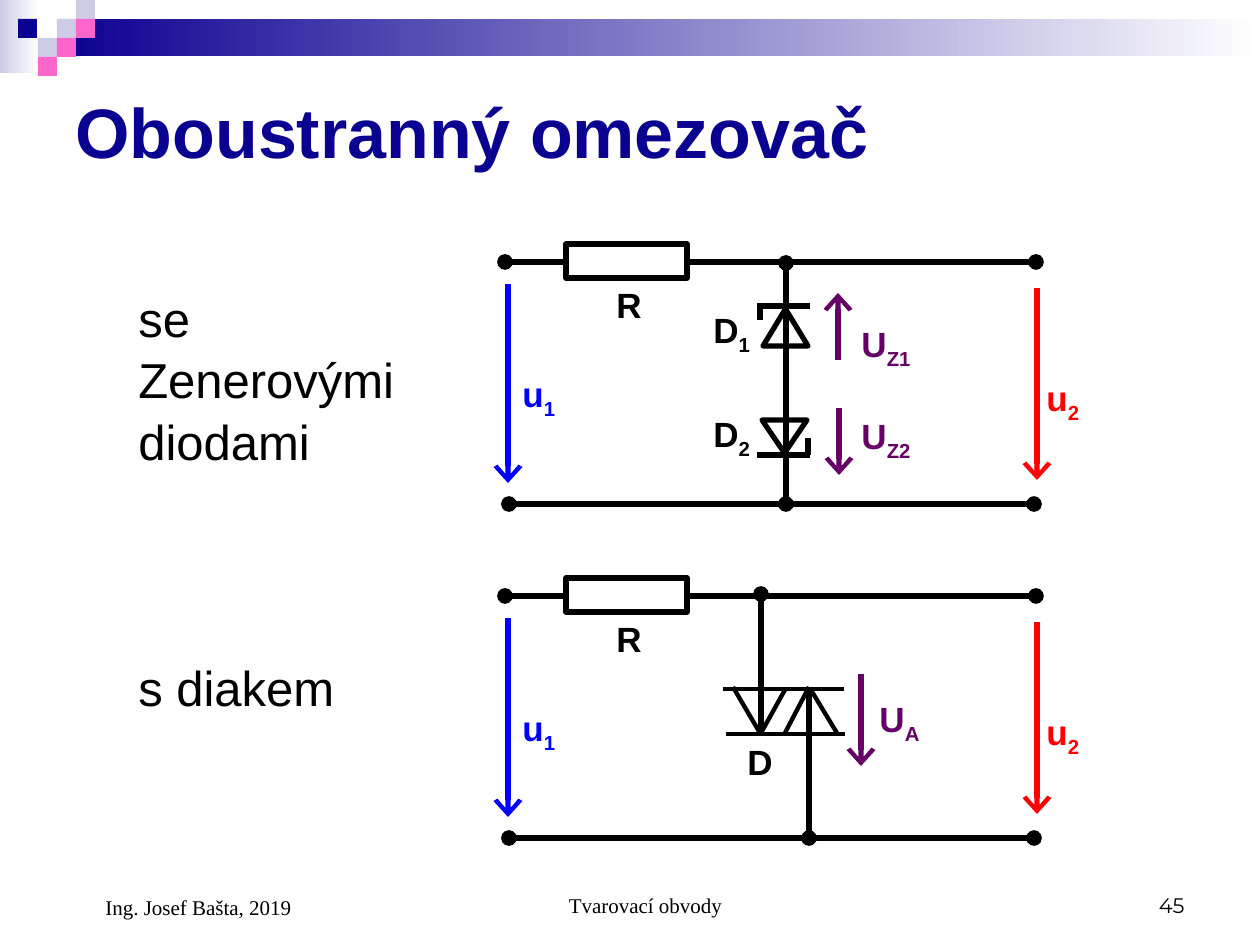
from pptx import Presentation
from pptx.dml.color import RGBColor
from pptx.enum.shapes import MSO_CONNECTOR as Link, MSO_SHAPE as Shape
from pptx.enum.text import MSO_ANCHOR as Anchor, PP_ALIGN as Align
from pptx.oxml.ns import qn
from pptx.util import Emu, Pt
from lxml.etree import SubElement

BLACK, NAVY, LAVENDER, PINK = "000000", "0B0191", "CCCCE6", "FF66CC"
BLUE, RED, PURPLE, WHITE = "0000FF", "FF0000", "660066", "FFFFFF"
SECOND_CIRCUIT = 334


def px(length):
    return Emu(round(length * 914400 / 126))


def color(code):
    return RGBColor.from_string(code)


def apply(target, values):
    for name, value in values.items():
        setattr(target, name, value)


def add_block(slide, box, fill, fade=None):
    """Draw a borderless rectangle, fading from left to right if asked."""
    block = slide.shapes.add_shape(Shape.RECTANGLE, *map(px, box))
    block.shadow.inherit = False
    block.line.fill.background()
    if fade:
        block.fill.gradient()
        block.fill.gradient_angle = 0
        for stop, code in zip(block.fill.gradient_stops, (fill, fade)):
            stop.color.rgb = color(code)
    else:
        block.fill.solid()
        block.fill.fore_color.rgb = color(fill)


def add_outline(slide, kind, box, rotation=0):
    outline = slide.shapes.add_shape(kind, *map(px, box))
    outline.shadow.inherit = False
    outline.fill.background()
    outline.line.color.rgb = color(BLACK)
    apply(outline.line, {"width": Pt(3)})
    outline.rotation = rotation


def add_line(slide, points, code=BLACK, width=3, head=None, tail=None):
    line = slide.shapes.add_connector(Link.STRAIGHT, *map(px, points))
    line.line.color.rgb = color(code)
    line.line.width = Pt(width)
    properties = line._element.spPr
    outline = properties.find(qn("a:ln"))
    for tag, end in (("a:headEnd", head), ("a:tailEnd", tail)):
        if end:
            size = "lg" if end == "arrow" else "med"
            SubElement(outline, qn(tag), type=end, w=size, len="med")
    SubElement(properties, qn("a:effectLst"))


def add_text(slide, box, text, size, sub="", code=BLACK, font="Arial", bold=False,
             anchor=Anchor.TOP, align=Align.LEFT, spacing=1.05, indent=0):
    """Write one paragraph, with an optional subscript."""
    frame = slide.shapes.add_textbox(*map(px, box)).text_frame
    apply(frame, {"word_wrap": True, "vertical_anchor": anchor})
    para = frame.paragraphs[0]
    if indent:
        para._p.get_or_add_pPr().set("marL", str(px(indent)))
    apply(para, {"alignment": align, "line_spacing": spacing})
    for part in filter(None, (text, sub)):
        span = para.add_run()
        span.text = part
        apply(span.font, {"name": font, "size": Pt(size), "bold": bold})
        span.font.color.rgb = color(code)
    if sub:
        span._r.get_or_add_rPr().set("baseline", "-25000")


def add_label(slide, left, top, text, sub="", code=BLACK):
    add_text(slide, (left, top, 82, 60), text, 20, sub, code, bold=True)


def add_banner(slide):
    add_block(slide, (0, 0, 39, 73), LAVENDER, WHITE)
    add_block(slide, (57, 19, 1203, 37), NAVY, WHITE)
    squares = [(57, 19, LAVENDER), (76, 0, LAVENDER), (76, 19, PINK), (38, 38, LAVENDER),
               (18, 19, NAVY), (57, 38, PINK), (38, 57, PINK)]
    for left, top, fill in squares:
        add_block(slide, (left, top, 19, 19), fill)


def add_title(slide, text):
    title = slide.shapes.title
    apply(title, dict(zip(("left", "top", "width", "height"), map(px, (63, 66, 1134, 130)))))
    title.text_frame.text = text
    title.text_frame.vertical_anchor = Anchor.MIDDLE
    para = title.text_frame.paragraphs[0]
    para.alignment = Align.LEFT
    apply(para.font, {"name": "Arial", "size": Pt(40), "bold": True})
    para.font.color.rgb = color(NAVY)


def add_limiter(slide, shift):
    """Draw what both circuits share: resistor, wires and voltages."""
    top, bottom = 262 + shift, 504 + shift
    add_outline(slide, Shape.RECTANGLE, (566, 244 + shift, 121, 34))
    add_line(slide, (564, top, 505, top), tail="oval")
    add_line(slide, (1036, top, 687, top), head="oval")
    add_line(slide, (1034, bottom, 509, bottom), head="oval", tail="oval")
    add_line(slide, (508, 284 + shift, 508, 483 + shift), BLUE, tail="arrow")
    add_line(slide, (1037, 288 + shift, 1037, 480 + shift), RED, tail="arrow")
    add_label(slide, 604, 275 + shift, "R")
    add_label(slide, 510, 364 + shift, "u", "1", BLUE)
    add_label(slide, 1034, 368 + shift, "u", "2", RED)


def add_zener_diodes(slide):
    add_line(slide, (786, 504, 786, 263), head="oval", tail="oval")
    add_outline(slide, Shape.ISOSCELES_TRIANGLE, (763, 309, 45, 37))
    add_outline(slide, Shape.ISOSCELES_TRIANGLE, (762, 420, 45, 33), rotation=180)
    for bar_y, hook_x, hook_y in ((306, 760, 320), (455, 808, 438)):
        add_line(slide, (757, bar_y, 810, bar_y))
        add_line(slide, (hook_x, hook_y, hook_x, bar_y))
    add_line(slide, (838, 360, 838, 293), PURPLE, tail="arrow")
    add_line(slide, (839, 408, 839, 475), PURPLE, tail="arrow")
    add_label(slide, 701, 300, "D", "1")
    add_label(slide, 701, 404, "D", "2")
    add_label(slide, 849, 314, "U", "Z1", PURPLE)
    add_label(slide, 849, 406, "U", "Z2", PURPLE)


def add_diac(slide):
    add_line(slide, (809, 838, 809, 688), head="oval")
    add_line(slide, (761, 733, 761, 594), tail="oval")
    bars = [(723, 689, 844, 689), (726, 734, 845, 734)]
    sides = [(733, 687, 760, 733), (786, 688, 761, 733),
             (809, 687, 785, 733), (811, 690, 837, 733)]
    for points in bars + sides:
        add_line(slide, points, width=2.5)
    add_line(slide, (861, 674, 861, 766), PURPLE, tail="arrow")
    add_label(slide, 735, 732, "D")
    add_label(slide, 867, 689, "U", "A", PURPLE)


def add_footer(slide):
    base = {"size": 12, "anchor": Anchor.BOTTOM, "spacing": 1.0}
    serif = {"font": "Times New Roman", "indent": 30}
    add_text(slide, (63, 861, 294, 65), "Ing. Josef Bašta, 2019", **base, **serif)
    add_text(slide, (431, 861, 399, 63), "Tvarovací obvody", align=Align.CENTER, **base, **serif)
    add_text(slide, (903, 861, 294, 63), "45", font="Montserrat", align=Align.RIGHT, **base)


def main():
    deck = Presentation()
    apply(deck, {"slide_width": px(1260), "slide_height": px(945)})
    slide = deck.slides.add_slide(deck.slide_layouts[5])
    add_banner(slide)
    add_title(slide, "Oboustranný omezovač")
    for shift in (0, SECOND_CIRCUIT):
        add_limiter(slide, shift)
    add_zener_diodes(slide)
    add_diac(slide)
    add_text(slide, (126, 279, 292, 189), "se Zenerovými diodami", 28)
    add_text(slide, (126, 648, 292, 72), "s diakem", 28)
    add_footer(slide)
    deck.save("out.pptx")


if __name__ == "__main__":
    main()
